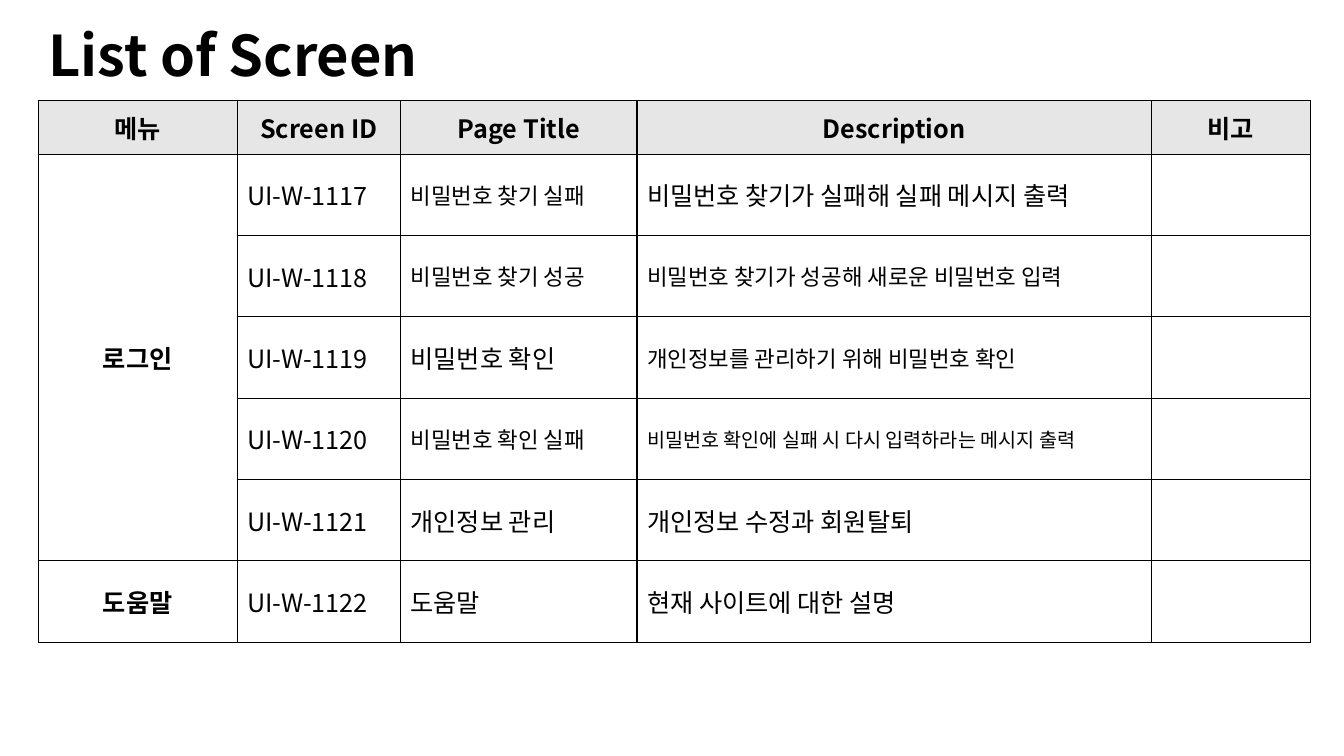
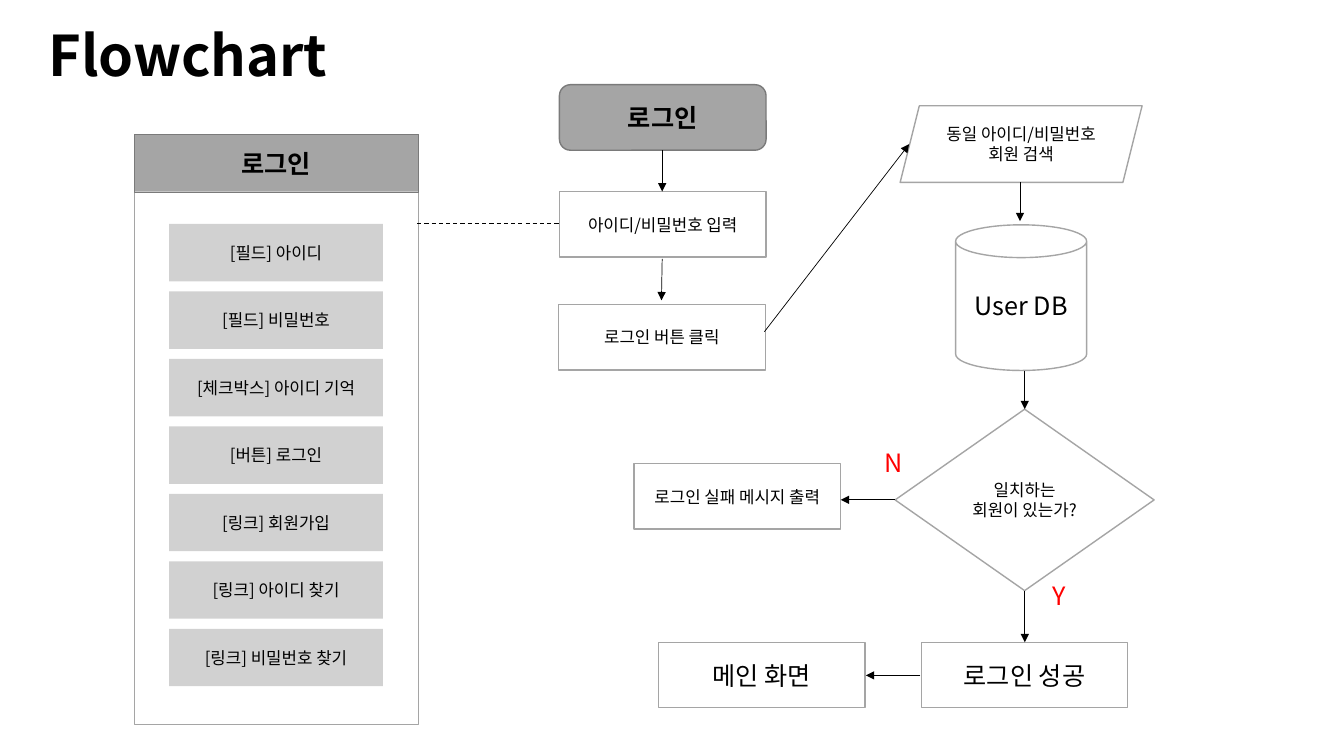
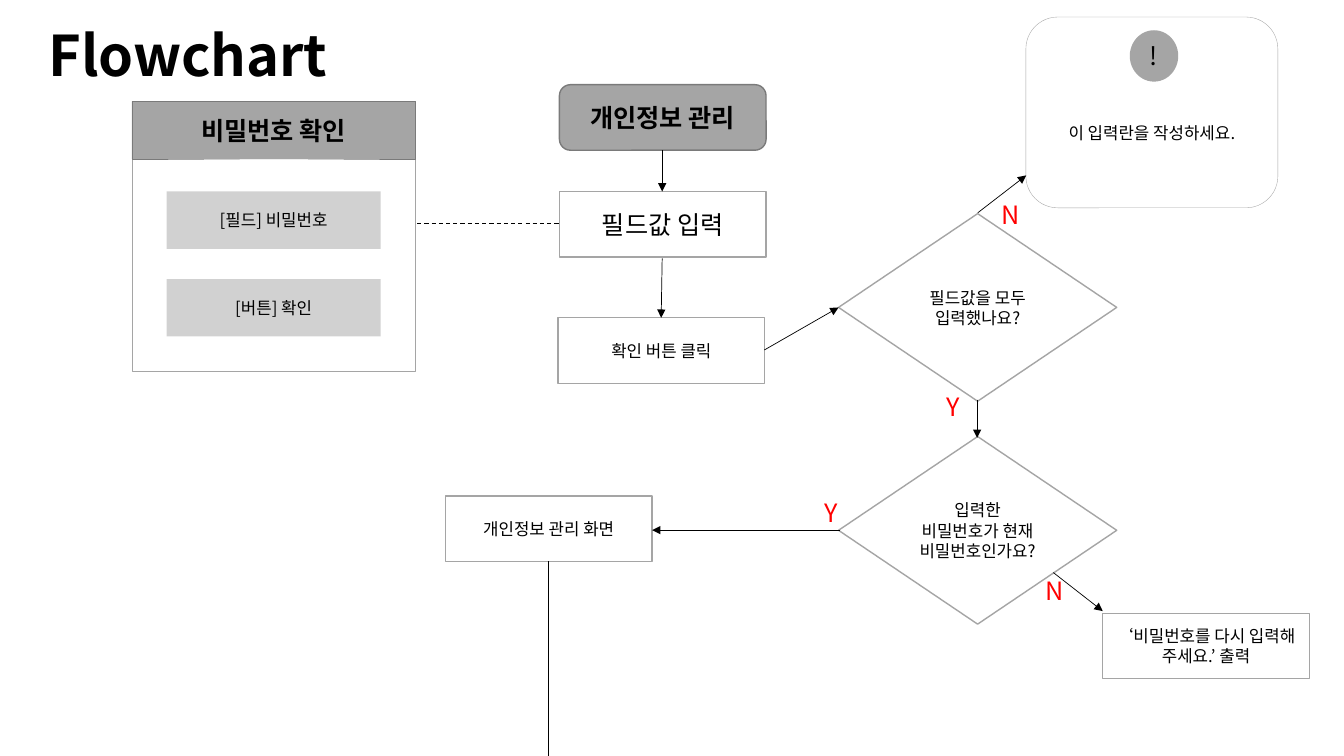
from dataclasses import dataclass

import pptx
import pptx.dml.color
import pptx.enum.dml
import pptx.enum.shapes
import pptx.enum.text
import pptx.oxml.ns
import pptx.oxml.xmlchemy
import pptx.slide
import pptx.util
from lxml import etree

Pt = pptx.util.Pt
RGB = pptx.dml.color.RGBColor
SHAPE = pptx.enum.shapes.MSO_SHAPE
ALIGN = pptx.enum.text.PP_ALIGN
ANCHOR = pptx.enum.text.MSO_ANCHOR
qn = pptx.oxml.ns.qn

FONT = "Noto Sans CJK KR"
BLACK = RGB(0x00, 0x00, 0x00)
WHITE = RGB(0xFF, 0xFF, 0xFF)
RED = RGB(0xFF, 0x00, 0x00)
GRAY = RGB(0xA5, 0xA5, 0xA5)
DARK_GRAY = RGB(0x7A, 0x7A, 0x7A)
HEADER_GRAY = RGB(0xE7, 0xE6, 0xE6)

SLIDE_W, SLIDE_H = 960, 540
STEP_W, STEP_H = 147.6, 46.8
PANEL_W, HEADER_H = 202.5, 41
FIELD_INSET, FIELD_W, FIELD_H = 24.8, 152.8, 41


@dataclass(frozen=True)
class Style:
    fill: RGB = WHITE
    line: RGB | None = GRAY
    line_width: float = 1
    alpha: int = 100
    bold: bool = False


STEP = Style()
START = Style(GRAY, DARK_GRAY, bold=True)
PANEL_BODY = Style(line_width=0.25)
PANEL_HEADER = Style(GRAY, DARK_GRAY, 0.25, bold=True)
FIELD = Style(GRAY, None, alpha=50)
BADGE = Style(GRAY, None)


@dataclass(frozen=True)
class Node:
    x: float
    y: float
    text: str = ""
    size: float = 12
    w: float = STEP_W
    h: float = STEP_H
    shape: SHAPE = SHAPE.RECTANGLE
    style: Style = STEP
    margin_top: float = 3.6


@dataclass(frozen=True)
class Link:
    x1: float
    y1: float
    x2: float
    y2: float
    arrow: bool = True
    dashed: bool = False


@dataclass(frozen=True)
class Label:
    x: float
    y: float
    text: str


@dataclass(frozen=True)
class Panel:
    x: float
    y: float
    h: float
    title: str
    first_field: float
    pitch: float
    fields: tuple[str, ...]


@dataclass(frozen=True)
class Flowchart:
    panel: Panel
    nodes: tuple[Node, ...]
    links: tuple[Link, ...]
    labels: tuple[Label, ...]


def write(tf, text: str, size: float, bold: bool = False,
          color: RGB = BLACK, align: ALIGN = ALIGN.LEFT) -> None:
    p = tf.paragraphs[0]
    p.alignment = align
    r = p.add_run()
    r.text = text
    for name, value in {"size": Pt(size), "bold": bold, "name": FONT}.items():
        setattr(r.font, name, value)
    r.font.color.rgb = color
    etree.SubElement(r.font._element, qn("a:ea"), typeface=FONT)


def add_titled_slide(prs, title: str) -> pptx.slide.Slide:
    s = prs.slides.add_slide(prs.slide_layouts[5])
    sp = s.shapes.title
    box = {"left": 27.4, "top": 10.8, "width": 319.7, "height": 55.4}
    for name, value in box.items():
        setattr(sp, name, Pt(value))
    tf = sp.text_frame
    frame = {"vertical_anchor": ANCHOR.TOP, "word_wrap": True,
             "auto_size": pptx.enum.text.MSO_AUTO_SIZE.SHAPE_TO_FIT_TEXT}
    for name, value in frame.items():
        setattr(tf, name, value)
    write(tf, title, 40, bold=True)
    return s


def add_node(s: pptx.slide.Slide, node: Node) -> None:
    sp = s.shapes.add_shape(node.shape, Pt(node.x), Pt(node.y), Pt(node.w), Pt(node.h))
    style = node.style
    sp.shadow.inherit = False
    sp.fill.solid()
    sp.fill.fore_color.rgb = style.fill
    if style.alpha < 100:
        color = sp._element.spPr.find(qn("a:solidFill")).find(qn("a:srgbClr"))
        etree.SubElement(color, qn("a:alpha"), val=str(style.alpha * 1000))
    if style.line is None:
        sp.line.fill.background()
    else:
        sp.line.color.rgb = style.line
        sp.line.width = Pt(style.line_width)
    if node.text:
        tf = sp.text_frame
        frame = {"word_wrap": True, "vertical_anchor": ANCHOR.MIDDLE,
                 "margin_top": Pt(node.margin_top)}
        for name, value in frame.items():
            setattr(tf, name, value)
        write(tf, node.text, node.size, style.bold, align=ALIGN.CENTER)


def add_link(s: pptx.slide.Slide, link: Link) -> None:
    c = s.shapes.add_connector(pptx.enum.shapes.MSO_CONNECTOR.STRAIGHT,
                               Pt(link.x1), Pt(link.y1), Pt(link.x2), Pt(link.y2))
    c.line.color.rgb = BLACK
    c.line.width = Pt(0.75 if link.dashed else 0.5)
    if link.dashed:
        c.line.dash_style = pptx.enum.dml.MSO_LINE.DASH
    if link.arrow:
        etree.SubElement(c.line._get_or_add_ln(), qn("a:tailEnd"), type="triangle")
    etree.SubElement(c._element.spPr, qn("a:effectLst"))


def add_label(s: pptx.slide.Slide, label: Label) -> None:
    sp = s.shapes.add_textbox(Pt(label.x), Pt(label.y), Pt(24.5), Pt(29))
    sp.text_frame.word_wrap = False
    write(sp.text_frame, label.text, 18, color=RED)


def add_panel(s: pptx.slide.Slide, panel: Panel) -> None:
    add_node(s, Node(panel.x, panel.y, w=PANEL_W, h=panel.h, style=PANEL_BODY))
    add_node(s, Node(panel.x, panel.y, panel.title, 18, PANEL_W, HEADER_H,
                     style=PANEL_HEADER))
    for i, text in enumerate(panel.fields):
        add_node(s, Node(panel.x + FIELD_INSET, panel.first_field + i * panel.pitch,
                         text, w=FIELD_W, h=FIELD_H, style=FIELD))


def add_flowchart(prs, chart: Flowchart) -> None:
    s = add_titled_slide(prs, "Flowchart")
    add_panel(s, chart.panel)
    for node in chart.nodes:
        add_node(s, node)
    for link in chart.links:
        add_link(s, link)
    for label in chart.labels:
        add_label(s, label)


def format_cell(cell, fill: RGB) -> None:
    cell.vertical_anchor = ANCHOR.MIDDLE
    cell.fill.solid()
    cell.fill.fore_color.rgb = fill
    tcPr = cell._tc.get_or_add_tcPr()
    for i, side in enumerate(("lnL", "lnR", "lnT", "lnB")):
        ln = etree.Element(qn(f"a:{side}"), w=str(Pt(1)))
        color = etree.SubElement(ln, qn("a:solidFill"))
        etree.SubElement(color, qn("a:srgbClr"), val=str(BLACK))
        tcPr.insert(i, ln)


@dataclass(frozen=True)
class Screen:
    menu: str
    screen_id: str
    title: str
    description: str
    title_size: float = 18
    description_size: float = 18


HEADERS = ("메뉴", "Screen ID", "Page Title", "Description", "비고")
COLUMN_WIDTHS = (142, 116.7, 169, 367.2, 113.7)
HEADER_ROW_H, ROW_H = 38.2, 58.1
SCREENS = (
    Screen("로그인", "UI-W-1117", "비밀번호 찾기 실패",
           "비밀번호 찾기가 실패해 실패 메시지 출력", 16),
    Screen("", "UI-W-1118", "비밀번호 찾기 성공",
           "비밀번호 찾기가 성공해 새로운 비밀번호 입력", 16, 16),
    Screen("", "UI-W-1119", "비밀번호 확인",
           "개인정보를 관리하기 위해 비밀번호 확인", 18, 16),
    Screen("", "UI-W-1120", "비밀번호 확인 실패",
           "비밀번호 확인에 실패 시 다시 입력하라는 메시지 출력", 16, 14),
    Screen("", "UI-W-1121", "개인정보 관리", "개인정보 수정과 회원탈퇴"),
    Screen("도움말", "UI-W-1122", "도움말", "현재 사이트에 대한 설명"),
)


def add_screen_list(prs) -> None:
    s = add_titled_slide(prs, "List of Screen")
    row_heights = (HEADER_ROW_H,) + (ROW_H,) * len(SCREENS)
    table = s.shapes.add_table(len(row_heights), len(HEADERS), Pt(27.4), Pt(72),
                               Pt(sum(COLUMN_WIDTHS)), Pt(sum(row_heights))).table
    for column, width in zip(table.columns, COLUMN_WIDTHS):
        column.width = Pt(width)
    for row, height in zip(table.rows, row_heights):
        row.height = Pt(height)
    for i in range(len(row_heights)):
        for j in range(len(HEADERS)):
            format_cell(table.cell(i, j), HEADER_GRAY if i == 0 else WHITE)
    table.cell(1, 0).merge(table.cell(5, 0))

    for j, text in enumerate(HEADERS):
        write(table.cell(0, j).text_frame, text, 18, True, align=ALIGN.CENTER)
    for i, screen in enumerate(SCREENS, start=1):
        if screen.menu:
            write(table.cell(i, 0).text_frame, screen.menu, 18, True, align=ALIGN.CENTER)
        values = ((screen.screen_id, 18), (screen.title, screen.title_size),
                  (screen.description, screen.description_size))
        for j, (text, size) in enumerate(values, start=1):
            write(table.cell(i, j).text_frame, text, size)


START_LINK = Link(473, 107.3, 473, 136.8)
PANEL_LINK = Link(298, 160, 399.6, 160, arrow=False, dashed=True)


def start_node(text: str) -> Node:
    return Node(399.6, 60.5, text, 18, shape=SHAPE.ROUNDED_RECTANGLE, style=START)


def decision(x: float, y: float, w: float, h: float, text: str) -> Node:
    return Node(x, y, text, w=w, h=h, shape=SHAPE.FLOWCHART_DECISION)


LOGIN = Flowchart(
    panel=Panel(96, 96, 421.5, "로그인", 160, 48.2, (
        "[필드] 아이디", "[필드] 비밀번호", "[체크박스] 아이디 기억", "[버튼] 로그인",
        "[링크] 회원가입", "[링크] 아이디 찾기", "[링크] 비밀번호 찾기")),
    nodes=(
        start_node("로그인"),
        Node(399.6, 136.8, "아이디/비밀번호 입력"),
        Node(399, 217.5, "로그인 버튼 클릭"),
        Node(643, 75.6, "동일 아이디/비밀번호 회원 검색", w=172.8, h=54.7,
             shape=SHAPE.PARALLELOGRAM),
        Node(682.6, 160.6, "User DB", 18, 93.6, 104, SHAPE.CAN),
        decision(639.4, 292.3, 185, 129.6, "일치하는 회원이 있는가?"),
        Node(452.9, 331.2, "로그인 실패 메시지 출력"),
        Node(658, 458.8, "로그인 성공", 18),
        Node(470.2, 458.8, "메인 화면", 18),
    ),
    links=(
        START_LINK,
        PANEL_LINK,
        Link(473, 185, 472.5, 214.5),
        Link(546, 237, 649.4, 103),
        Link(728.6, 130.3, 728.6, 158),
        Link(732, 264.8, 732, 292.3),
        Link(732, 422, 732, 458.8),
        Link(657.4, 482.4, 618.5, 482.4),
        Link(639.4, 357, 600.5, 357),
    ),
    labels=(Label(744.5, 411, "Y"), Label(625, 316, "N")),
)

PASSWORD_CHECK = Flowchart(
    panel=Panel(94.3, 72.5, 192.5, "비밀번호 확인", 136.8, 62.6,
                ("[필드] 비밀번호", "[버튼] 확인")),
    nodes=(
        start_node("개인정보 관리"),
        Node(399.6, 136.8, "필드값 입력", 18),
        Node(398.6, 227, "확인 버튼 클릭"),
        decision(599, 152.6, 198.7, 134, "필드값을 모두 입력했나요?"),
        decision(599, 311.8, 198.7, 134, "입력한 비밀번호가 현재 비밀번호인가요?"),
        Node(787.7, 438, "‘비밀번호를 다시 입력해 주세요.’ 출력"),
        Node(318.2, 354.2, "개인정보 관리 화면"),
        Node(732.8, 12.2, "이 입력란을 작성하세요.", w=180, h=136.3,
             shape=SHAPE.ROUNDED_RECTANGLE, style=PANEL_BODY, margin_top=32.4),
        Node(807, 21.6, "!", 18, 34.6, 36.7, SHAPE.OVAL, BADGE),
    ),
    links=(
        START_LINK,
        PANEL_LINK,
        Link(473, 184.5, 472.3, 227),
        Link(546, 250, 599, 219.6),
        Link(698.4, 152, 733, 125.3),
        Link(698, 285.5, 698, 312.8),
        Link(752.4, 409, 787.7, 436.5),
        Link(599.8, 378.7, 465.8, 378.7),
        Link(391.7, 401, 391.7, SLIDE_H, arrow=False),
    ),
    labels=(Label(669, 275.8, "Y"), Label(708.5, 139, "N"),
            Label(739.5, 407.5, "N"), Label(581.8, 351.4, "Y")),
)


def main() -> None:
    prs = pptx.Presentation()
    prs.slide_width, prs.slide_height = Pt(SLIDE_W), Pt(SLIDE_H)
    add_screen_list(prs)
    for chart in (LOGIN, PASSWORD_CHECK):
        add_flowchart(prs, chart)
    prs.save("out.pptx")


if __name__ == "__main__":
    main()
